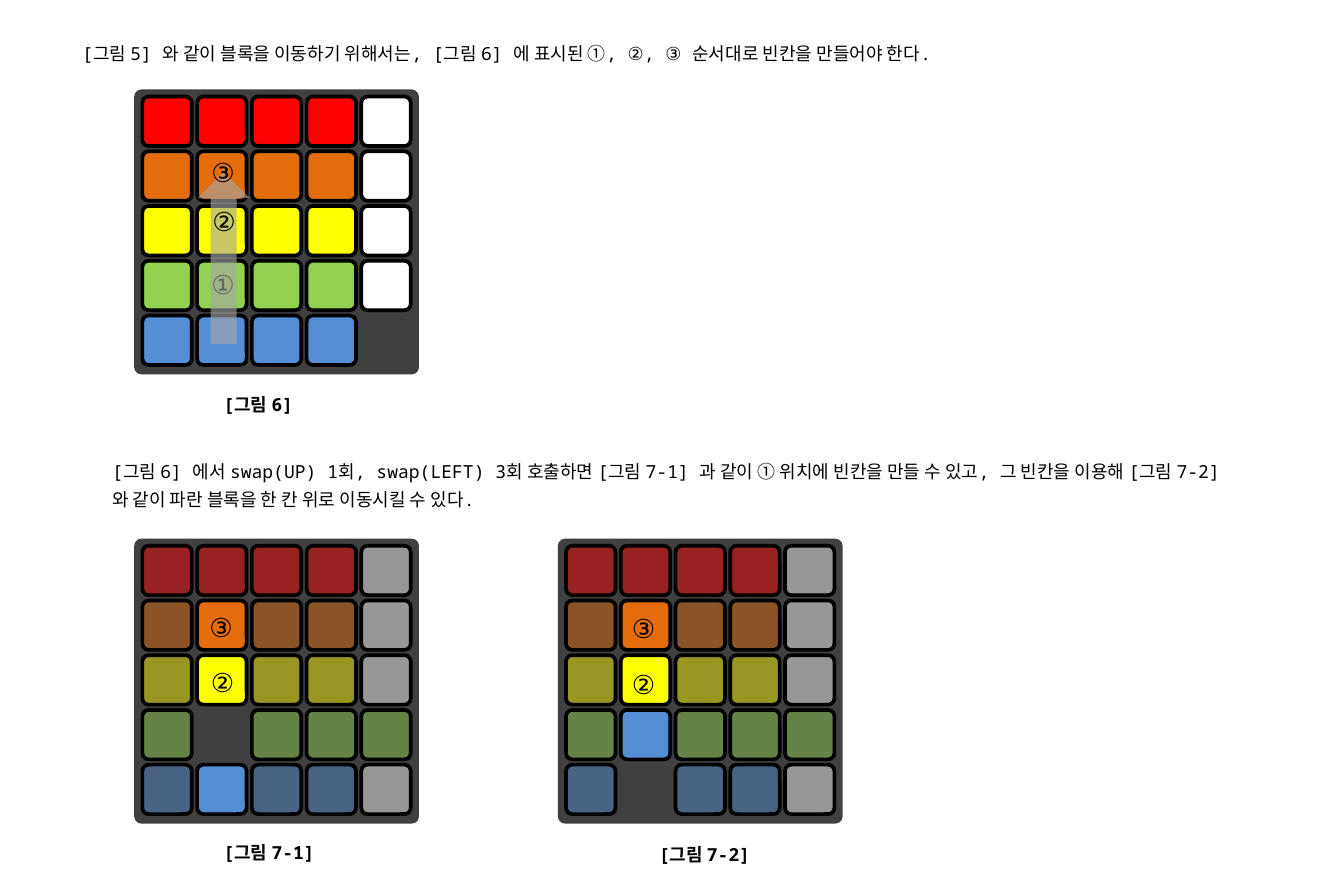
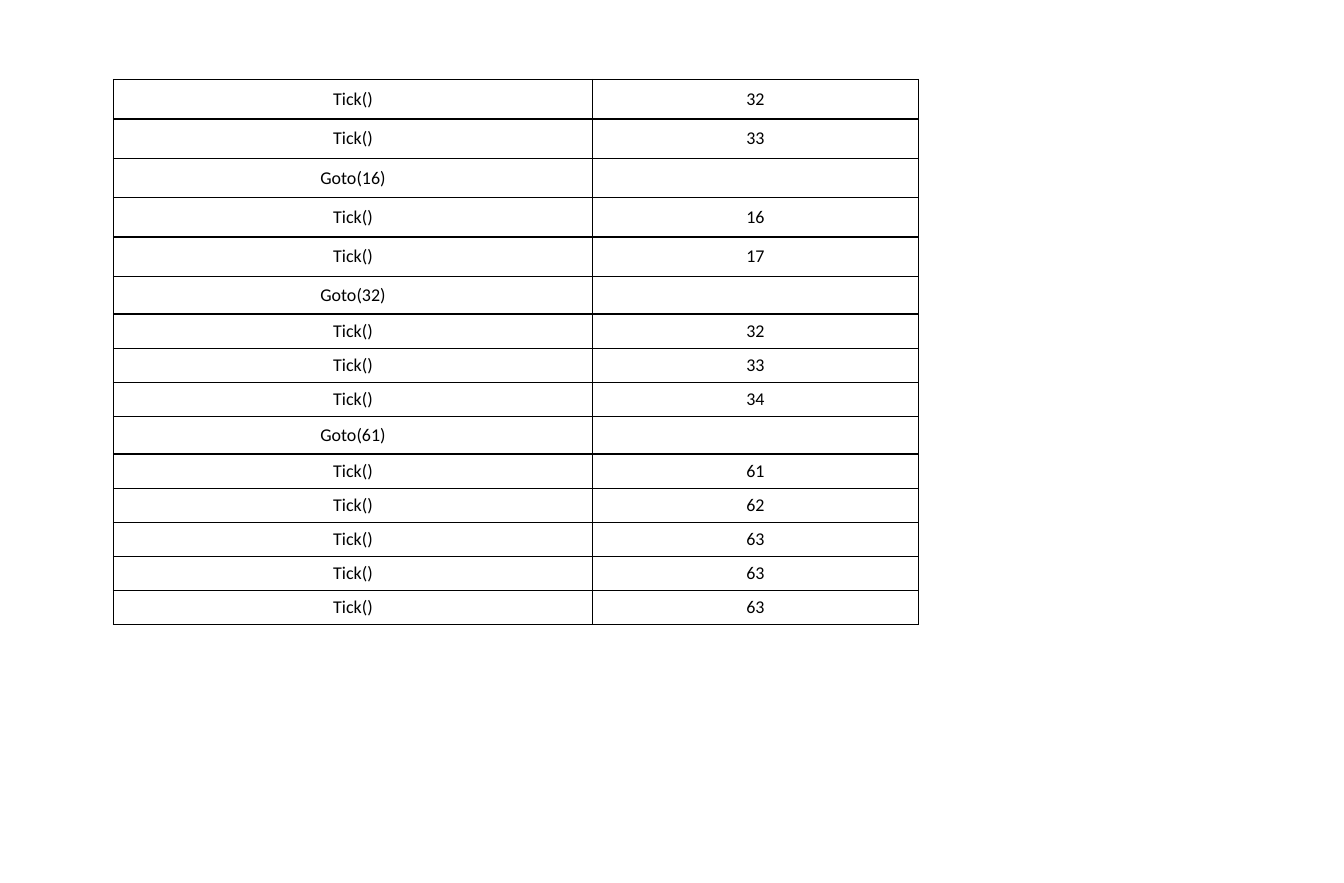
from dataclasses import dataclass

from lxml.etree import SubElement
from pptx import Presentation
from pptx.dml.color import RGBColor
from pptx.enum.shapes import MSO_SHAPE
from pptx.enum.text import MSO_ANCHOR, MSO_AUTO_SIZE, PP_ALIGN
from pptx.oxml.ns import qn
from pptx.util import Pt

EMU_PER_PX = 4572
MONO = "Noto Sans Mono"
SANS = "Calibri"
COLORS = {
    "text": "000000",
    "line": "000000",
    "board": "404040",
    "arrow": "A6A6A6",
    "R": "FF0000",
    "O": "E46C0A",
    "Y": "FFFF00",
    "G": "92D050",
    "B": "558ED5",
    "W": "FFFFFF",
}
BOARD_SIZE, TILE_SIZE, TILE_PITCH = 484, 84, 93
TILE_INSET_X, TILE_INSET_Y = 14, 12
FADED_OPACITY = 46
TALL_ROW, GOTO_ROW, TICK_ROW = 67, 64, 58
TALL_ROW_COUNT = 5
COLUMN_WIDTHS = (814, 554)


@dataclass(frozen=True)
class Box:
    """A rectangle in px."""

    left: int
    top: int
    width: int
    height: int

    def emu(self) -> tuple[int, ...]:
        """Return the four lengths in EMU."""
        return tuple(px(n) for n in (self.left, self.top, self.width, self.height))


@dataclass(frozen=True)
class Caption:
    """A paragraph of explanation or a figure label."""

    text: str
    box: Box
    bold: bool = False


@dataclass(frozen=True)
class Marker:
    """A circled step number on a board."""

    text: str
    box: Box
    align: PP_ALIGN = PP_ALIGN.CENTER
    anchor: MSO_ANCHOR = MSO_ANCHOR.MIDDLE
    spacing: float = 1.3


@dataclass(frozen=True)
class Board:
    """A block board; lowercase tiles are faded and dots are empty."""

    left: int
    top: int
    rows: tuple[str, ...]
    markers: tuple[Marker, ...]
    arrow: Box | None = None


CAPTIONS = (
    Caption("[그림 5] 와 같이 블록을 이동하기 위해서는, [그림 6] 에 표시된 ①, ②, ③ 순서대로 빈칸을 만들어야 한다.",
            Box(120, 52, 1810, 64)),
    Caption("[그림 6]", Box(360, 648, 182, 64), bold=True),
    Caption("[그림 6] 에서 swap(UP) 1회, swap(LEFT) 3회 호출하면 [그림 7-1] 과 같이 ① 위치에 빈칸을 만들 수 있고, "
            "그 빈칸을 이용해 [그림 7-2] 와 같이 파란 블록을 한 칸 위로 이동시킬 수 있다.",
            Box(171, 761, 1968, 112)),
    Caption("[그림 7-1]", Box(360, 1408, 228, 64), bold=True),
    Caption("[그림 7-2]", Box(1100, 1412, 314, 64), bold=True),
)
BOARDS = (
    Board(228, 152, ("RRRRW", "OOOOW", "YYYYW", "GGGGW", "BBBB."),
          (Marker("①", Box(330, 446, 98, 74), spacing=1.0),
           Marker("②", Box(338, 338, 86, 74), spacing=1.0),
           Marker("③", Box(338, 256, 82, 74), spacing=1.0)),
          arrow=Box(336, 292, 88, 292)),
    Board(948, 915, ("rrrrw", "oOoow", "yYyyw", "gBggg", "b.bbw"),
          (Marker("②", Box(1054, 1110, 86, 84), PP_ALIGN.LEFT, MSO_ANCHOR.TOP),
           Marker("③", Box(1054, 1014, 92, 84), PP_ALIGN.LEFT, MSO_ANCHOR.TOP))),
    Board(228, 915, ("rrrrw", "oOoow", "yYyyw", "g.ggg", "bBbbw"),
          (Marker("②", Box(336, 1108, 84, 84)),
           Marker("③", Box(336, 1016, 96, 84), PP_ALIGN.LEFT))),
)
CALLS = (
    ("Tick()", "32"), ("Tick()", "33"), ("Goto(16)", ""),
    ("Tick()", "16"), ("Tick()", "17"), ("Goto(32)", ""),
    ("Tick()", "32"), ("Tick()", "33"), ("Tick()", "34"), ("Goto(61)", ""),
    ("Tick()", "61"), ("Tick()", "62"),
    ("Tick()", "63"), ("Tick()", "63"), ("Tick()", "63"),
)


def px(length: int) -> int:
    """Turn px into EMU."""
    return length * EMU_PER_PX


def rgb(name: str) -> RGBColor:
    """Look up a named colour."""
    return RGBColor.from_string(COLORS[name])


def write(frame, text: str, *, font: str = MONO, size: int = 11, bold: bool = False,
          align: PP_ALIGN = PP_ALIGN.LEFT, spacing: float | None = None) -> None:
    """Write one formatted paragraph into a text frame."""
    paragraph = frame.paragraphs[0]
    paragraph.alignment = align
    if spacing is not None:
        paragraph.line_spacing = spacing
    if not text:
        SubElement(paragraph._p, qn("a:endParaRPr"), sz=str(size * 100))
        return
    run = paragraph.add_run()
    run.text = text
    run.font.name = font
    run.font.size = Pt(size)
    run.font.bold = bold
    run.font.color.rgb = rgb("text")


def add_text(shapes, text: str, box: Box, anchor: MSO_ANCHOR = MSO_ANCHOR.TOP, **style) -> None:
    """Add a wrapping text box."""
    frame = shapes.add_textbox(*box.emu()).text_frame
    frame.word_wrap = True
    frame.auto_size = MSO_AUTO_SIZE.SHAPE_TO_FIT_TEXT
    frame.vertical_anchor = anchor
    write(frame, text, **style)


def add_block(shapes, preset: MSO_SHAPE, box: Box, color: str, *, corner: float | None = None,
              opacity: int = 100, outline: float = 0):
    """Add a filled preset shape."""
    block = shapes.add_shape(preset, *box.emu())
    block.shadow.inherit = False
    block.fill.solid()
    block.fill.fore_color.rgb = rgb(color)
    if opacity < 100:
        srgb = block._element.spPr.find(qn("a:solidFill")).find(qn("a:srgbClr"))
        SubElement(srgb, qn("a:alpha"), val=str(opacity * 1000))
    if corner is not None:
        block.adjustments[0] = corner
    if outline:
        block.line.color.rgb = rgb("line")
        block.line.width = Pt(outline)
    else:
        block.line.fill.background()
    return block


def add_marker(shapes, marker: Marker) -> None:
    """Add a circled step number."""
    add_text(shapes, marker.text, marker.box, marker.anchor, size=16,
             align=marker.align, spacing=marker.spacing)


def add_board(slide, board: Board) -> None:
    """Add a board with its tiles, arrow and markers as one group."""
    shapes = slide.shapes.add_group_shape().shapes
    add_block(shapes, MSO_SHAPE.ROUNDED_RECTANGLE,
              Box(board.left, board.top, BOARD_SIZE, BOARD_SIZE), "board", corner=0.025)
    for row, tiles in enumerate(board.rows):
        for column, tile in enumerate(tiles):
            if tile == ".":
                continue
            place = Box(board.left + TILE_INSET_X + column * TILE_PITCH,
                        board.top + TILE_INSET_Y + row * TILE_PITCH, TILE_SIZE, TILE_SIZE)
            add_block(shapes, MSO_SHAPE.ROUNDED_RECTANGLE, place, tile.upper(), corner=0.125,
                      opacity=FADED_OPACITY if tile.islower() else 100, outline=2.25)
    for step, marker in enumerate(board.markers):
        add_marker(shapes, marker)
        if board.arrow and step == 0:
            arrow = add_block(shapes, MSO_SHAPE.DOWN_ARROW, board.arrow, "arrow", opacity=62)
            arrow.rotation = 180


def add_borders(cell, width: float = 1) -> None:
    """Draw a solid line on each side of a cell."""
    properties = cell._tc.get_or_add_tcPr()
    for side in ("lnL", "lnR", "lnT", "lnB"):
        line = SubElement(properties, qn(f"a:{side}"), w=str(Pt(width)))
        SubElement(SubElement(line, qn("a:solidFill")), qn("a:srgbClr"), val=COLORS["line"])


def row_height(index: int, call: str) -> int:
    """Return the height of a call row in px."""
    if index < TALL_ROW_COUNT:
        return TALL_ROW
    return GOTO_ROW if call.startswith("Goto") else TICK_ROW


def add_call_table(slide) -> None:
    """Add the table of calls and their results."""
    heights = [row_height(index, call) for index, (call, _) in enumerate(CALLS)]
    place = Box(193, 135, sum(COLUMN_WIDTHS), sum(heights))
    table = slide.shapes.add_table(len(CALLS), len(COLUMN_WIDTHS), *place.emu()).table
    table.first_row = table.horz_banding = False
    for column, width in zip(table.columns, COLUMN_WIDTHS):
        column.width = px(width)
    for row, height, values in zip(table.rows, heights, CALLS):
        row.height = px(height)
        for cell, value in zip(row.cells, values):
            add_borders(cell)
            cell.fill.background()
            cell.vertical_anchor = MSO_ANCHOR.MIDDLE
            write(cell.text_frame, value, font=SANS, align=PP_ALIGN.CENTER)


def main() -> None:
    """Build both slides and save them."""
    deck = Presentation()
    deck.slide_width, deck.slide_height = px(2284), px(1500)
    blank = deck.slide_layouts[6]
    puzzle = deck.slides.add_slide(blank)
    for caption in CAPTIONS:
        add_text(puzzle.shapes, caption.text, caption.box, bold=caption.bold, spacing=1.3)
    for board in BOARDS:
        add_board(puzzle, board)
    add_call_table(deck.slides.add_slide(blank))
    deck.save("out.pptx")


if __name__ == "__main__":
    main()
